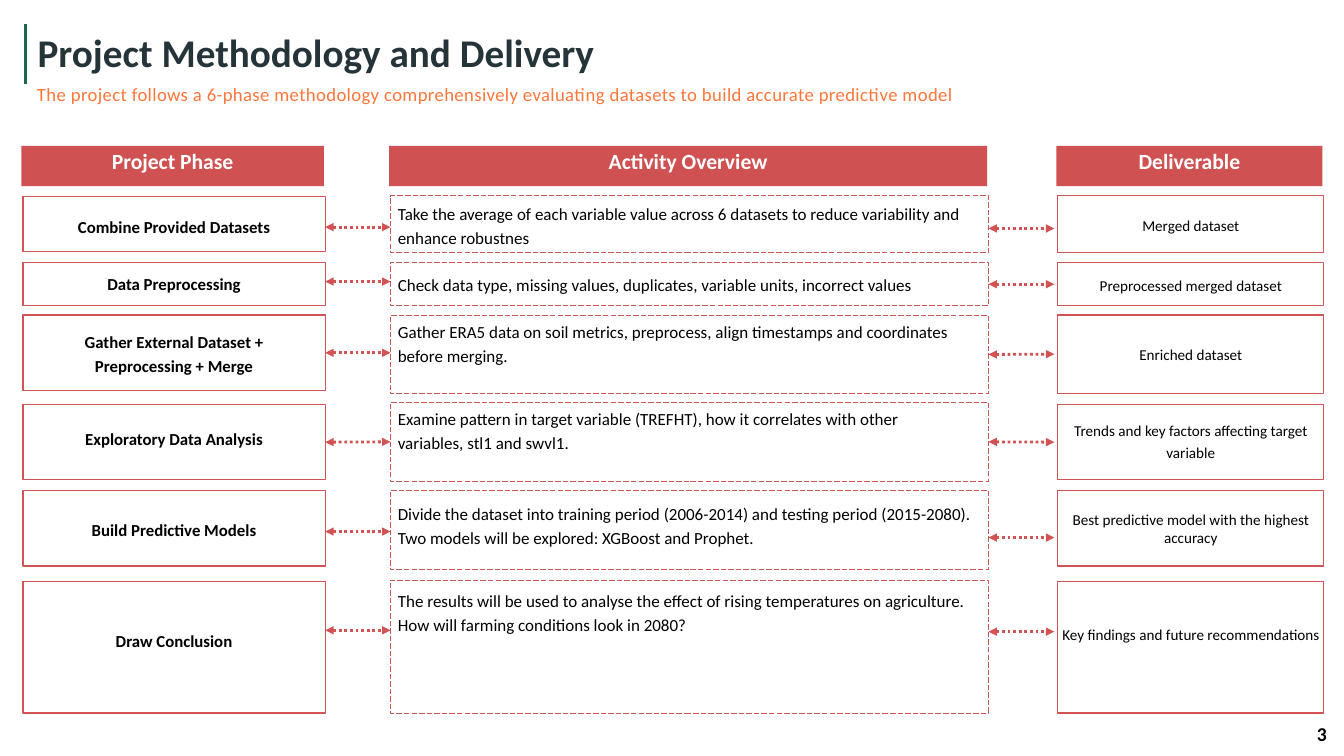
from dataclasses import dataclass

from lxml import etree
from pptx import Presentation
from pptx.dml.color import RGBColor
from pptx.enum import dml, shapes, text
from pptx.oxml.ns import qn
from pptx.util import Emu, Pt

PX = 9144
FONT = "Calibri"
COLOURS = {
    "header": "CF5151",
    "border": "D15353",
    "accent": "206648",
    "title": "253439",
    "subtitle": "FE763A",
    "body": "000000",
    "white": "FFFFFF",
}
COLUMNS = {"phase": (34, 450), "activity": (581, 890), "deliverable": (1574, 396)}
ARROW_END = 1569


@dataclass
class Cell:
    words: str
    top: int
    height: int
    text_top: int
    text_width: int
    spacing: float


@dataclass
class Row:
    phase: Cell
    activity: Cell
    deliverable: Cell
    arrow_tops: tuple


def phase(words, top, height, text_top):
    return Cell(words, top, height, text_top, 360, 25.2)


def activity(words, top, height, text_top, text_width):
    return Cell(words, top, height, text_top, text_width, 25.5)


def deliverable(words, top, height, text_top, spacing=22.7):
    return Cell(words, top, height, text_top, 396, spacing)


ROWS = [
    Row(phase("Combine Provided Datasets", 292, 82, 318),
        activity("Take the average of each variable value across 6 datasets to reduce "
                 "variability and enhance robustnes", 291, 85, 298, 877),
        deliverable("Merged dataset", 291, 85, 317), (338, 340)),
    Row(phase("Data Preprocessing", 391, 64, 403),
        activity("Check data type, missing values, duplicates, variable units, "
                 "incorrect values", 391, 64, 404, 872),
        deliverable("Preprocessed merged dataset", 391, 64, 407), (419, 423)),
    Row(phase("Gather External Dataset + Preprocessing + Merge", 469, 112, 489),
        activity("Gather ERA5 data on soil metrics, preprocess, align timestamps and "
                 "coordinates before merging.", 469, 117, 474, 863),
        deliverable("Enriched dataset", 469, 117, 510), (525, 527)),
    Row(phase("Exploratory Data Analysis", 602, 112, 633),
        activity("Examine pattern in target variable (TREFHT), how it correlates with "
                 "other variables, stl1 and swvl1.", 599, 117, 603, 844),
        deliverable("Trends and key factors affecting target variable", 602, 112, 623),
        (658, 658)),
    Row(phase("Build Predictive Models", 730, 112, 768),
        activity("Divide the dataset into training period (2006-2014) and testing period "
                 "(2015-2080). Two models will be explored: XGBoost and Prophet.",
                 730, 117, 744, 866),
        deliverable("Best predictive model with the highest accuracy", 730, 112, 759, 19.4),
        (791, 800)),
    Row(phase("Draw Conclusion", 865, 196, 933),
        activity("The results will be used to analyse the effect of rising temperatures on "
                 "agriculture. How will farming conditions look in 2080?",
                 863, 198, 874, 872),
        deliverable("Key findings and future recommendations", 865, 196, 926), (938, 940)),
]


def px(*lengths):
    return [Emu(length * PX) for length in lengths]


def rgb(name):
    return RGBColor.from_string(COLOURS[name])


def add_text(slide, words, box, size, spacing, colour="body", bold=False,
             align=text.PP_ALIGN.LEFT, anchor=text.MSO_ANCHOR.TOP, tracking=None):
    frame = slide.shapes.add_textbox(*px(*box)).text_frame
    frame.word_wrap = True
    frame.vertical_anchor = anchor
    frame.margin_left = frame.margin_right = frame.margin_top = frame.margin_bottom = 0
    paragraph = frame.paragraphs[0]
    paragraph.alignment = align
    paragraph.line_spacing = Pt(spacing)
    run = paragraph.add_run()
    run.text = words
    run.font.name = FONT
    run.font.size = Pt(size)
    run.font.bold = bold
    run.font.color.rgb = rgb(colour)
    if tracking:
        run.font._element.set("spc", str(tracking))


def add_box(slide, box, fill=None, width=1.5, dash=None):
    rectangle = slide.shapes.add_shape(shapes.MSO_SHAPE.RECTANGLE, *px(*box))
    rectangle.shadow.inherit = False
    if fill:
        rectangle.fill.solid()
        rectangle.fill.fore_color.rgb = rgb(fill)
        rectangle.line.fill.background()
    else:
        rectangle.fill.background()
        rectangle.line.color.rgb = rgb("border")
        rectangle.line.width = Pt(width)
        if dash:
            rectangle.line.dash_style = dash
    return rectangle


def add_line(slide, start, end, colour, width):
    line = slide.shapes.add_connector(shapes.MSO_CONNECTOR.STRAIGHT, *px(*start, *end))
    line.line.color.rgb = rgb(colour)
    line.line.width = Pt(width)
    etree.SubElement(line._element.spPr, qn("a:effectLst"))
    return line


def touches_middle(cell, y):
    return abs(cell.top + cell.height / 2 - y) <= 1


def add_arrow(slide, left, right, y):
    arrow = add_line(slide, (left, y), (right, y), "border", 3)
    arrow.line.dash_style = dml.MSO_LINE.ROUND_DOT
    outline = arrow._element.spPr.find(qn("a:ln"))
    for tip in ("a:headEnd", "a:tailEnd"):
        etree.SubElement(outline, qn(tip), type="triangle")
    return arrow


def add_heading(slide, left, top):
    add_line(slide, (left, top), (left, top + 89), "accent", 3.75)
    add_text(slide, "Project Methodology and Delivery", (left + 18, top + 15, 1736, 64),
             42, 44.5, colour="title", bold=True)
    add_text(slide, "The project follows a 6-phase methodology comprehensively evaluating "
             "datasets to build accurate predictive model",
             (left + 17, top + 89, 1674, 32), 20, 22.4, colour="subtitle", tracking=40)


def add_column_header(slide, words, left, top, width):
    add_box(slide, (left, top, width, 60), fill="header")
    add_text(slide, words, (left, top - 20, width, 79), 23.2, 32.4, colour="white",
             bold=True, align=text.PP_ALIGN.CENTER, anchor=text.MSO_ANCHOR.MIDDLE)


def add_row(slide, row):
    phase_left, phase_width = COLUMNS["phase"]
    activity_left, activity_width = COLUMNS["activity"]
    deliverable_left, deliverable_width = COLUMNS["deliverable"]
    step, task, result = row.phase, row.activity, row.deliverable

    step_box = add_box(slide, (phase_left, step.top, phase_width, step.height))
    task_box = add_box(slide, (activity_left, task.top, activity_width, task.height),
                       width=0.75, dash=dml.MSO_LINE.LONG_DASH)
    add_box(slide, (deliverable_left, result.top, deliverable_width, result.height))

    first, second = row.arrow_tops
    to_task = add_arrow(slide, phase_left + phase_width, activity_left, first)
    to_result = add_arrow(slide, activity_left + activity_width, ARROW_END, second)
    if touches_middle(step, first):
        to_task.begin_connect(step_box, 3)
    if touches_middle(task, first):
        to_task.end_connect(task_box, 1)
    if touches_middle(task, second):
        to_result.begin_connect(task_box, 3)

    step_left = phase_left + (phase_width - step.text_width) // 2
    add_text(slide, step.words, (step_left, step.text_top, step.text_width, 34),
             18, step.spacing, bold=True, align=text.PP_ALIGN.CENTER)
    add_text(slide, task.words, (activity_left + 11, task.text_top, task.text_width, 68),
             18.2, task.spacing)
    add_text(slide, result.words,
             (deliverable_left, result.text_top, result.text_width, 61),
             16.2, result.spacing, align=text.PP_ALIGN.CENTER)


def main():
    deck = Presentation()
    deck.slide_width, deck.slide_height = px(2000, 1125)
    slide = deck.slides.add_slide(deck.slide_layouts[6])
    add_heading(slide, 38, 36)
    titles = ("Project Phase", "Activity Overview", "Deliverable")
    for words, (left, width) in zip(titles, COLUMNS.values()):
        add_column_header(slide, words, left - 2, 217, width)
    for row in ROWS:
        add_row(slide, row)
    add_text(slide, "3", (1934, 1069, 66, 40), 21, 29.4, bold=True,
             align=text.PP_ALIGN.CENTER)
    deck.save("out.pptx")


if __name__ == "__main__":
    main()
